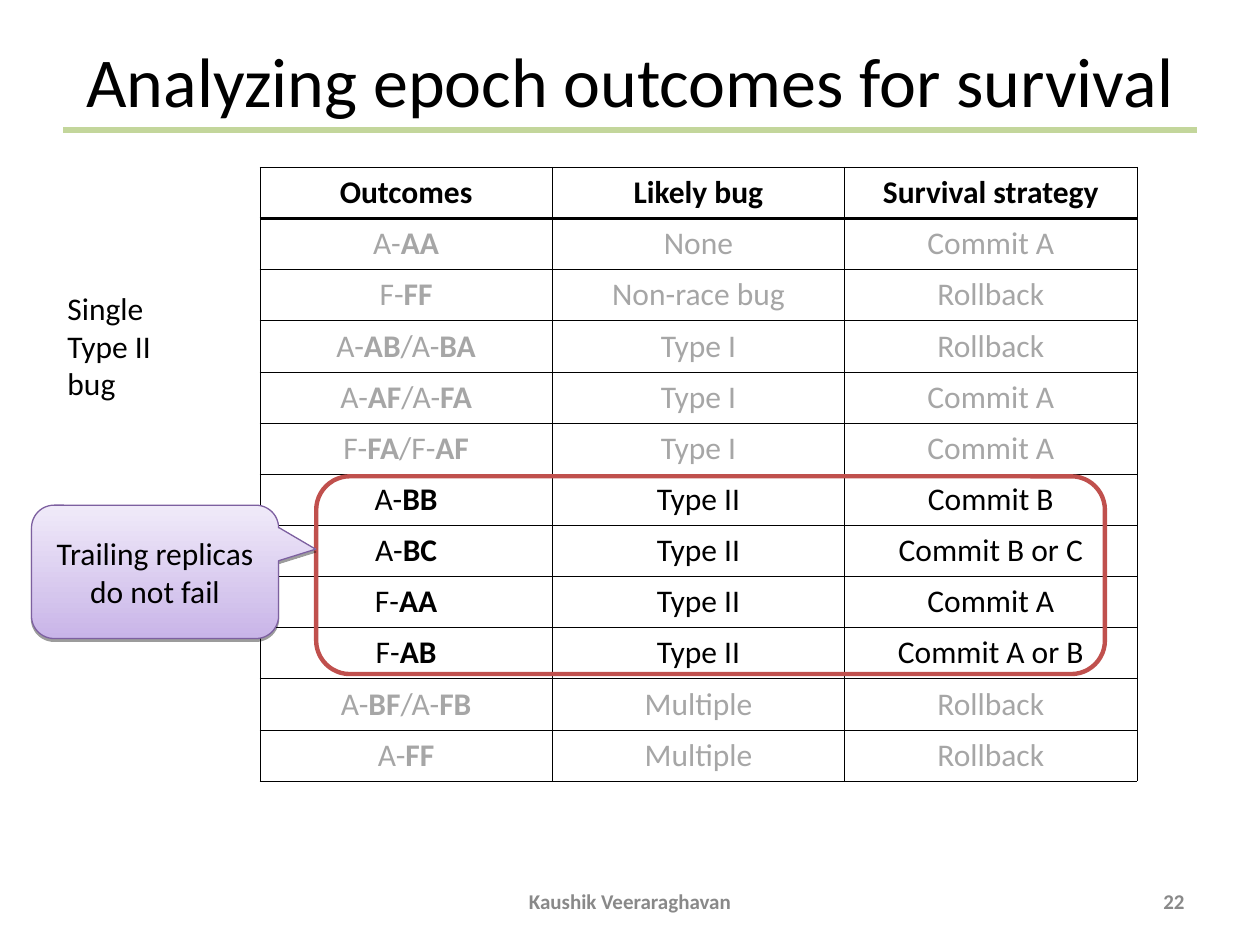
from lxml.etree import SubElement
from pptx import Presentation
from pptx.dml.color import RGBColor
from pptx.enum.shapes import MSO_CONNECTOR, MSO_SHAPE
from pptx.enum.text import MSO_ANCHOR, MSO_AUTO_SIZE, PP_ALIGN
from pptx.oxml.ns import qn
from pptx.util import Pt

COLORS = {
    "ink": "000000",
    "faded": "A6A6A6",
    "footer": "898989",
    "rule": "C3D69B",
    "focus": "C0504D",
    "edge": "7D60A0",
    "deep": "C9B5E8",
    "pale": "F0EAF9",
}
HEAD = ["Outcomes", "Likely bug", "Survival strategy"]
# Asterisks enclose bold text
ROWS = [
    ["A-*AA*", "None", "Commit A"],
    ["F-*FF*", "Non-race bug", "Rollback"],
    ["A-*AB*/A-*BA*", "Type I", "Rollback"],
    ["A-*AF*/A-*FA*", "Type I", "Commit A"],
    ["F-*FA*/F-*AF*", "Type I", "Commit A"],
    ["A-*BB*", "Type II", "Commit B"],
    ["A-*BC*", "Type II", "Commit B or C"],
    ["F-*AA*", "Type II", "Commit A"],
    ["F-*AB*", "Type II", "Commit A or B"],
    ["A-*BF*/A-*FB*", "Multiple", "Rollback"],
    ["A-*FF*", "Multiple", "Rollback"],
]


def paint(name):
    return RGBColor.from_string(COLORS[name])


def write(frame, text, size=18, color="ink", align=PP_ALIGN.LEFT,
          anchor=MSO_ANCHOR.TOP, font="Calibri"):
    """Fill a text frame: one paragraph a line, bold between asterisks."""
    frame.word_wrap = True
    frame.vertical_anchor = anchor
    for row, line in enumerate(text.split("\n")):
        para = frame.add_paragraph() if row else frame.paragraphs[0]
        para.alignment = align
        for part, words in enumerate(line.split("*")):
            if not words:
                continue
            run = para.add_run()
            run.text = words
            run.font.name = font
            run.font.size = Pt(size)
            run.font.bold = part % 2 == 1
            run.font.color.rgb = paint(color)


class Deck:
    def __init__(self, wide, high):
        self.show = Presentation()
        self.show.slide_width, self.show.slide_height = Pt(wide), Pt(high)
        self.slide = self.show.slides.add_slide(self.show.slide_layouts[5])
        self.shapes = self.slide.shapes

    def title(self, text, left, top, wide, high):
        box = self.shapes.title
        box.left, box.top, box.width, box.height = map(Pt, (left, top, wide, high))
        write(box.text_frame, text, size=40, align=PP_ALIGN.CENTER,
              anchor=MSO_ANCHOR.MIDDLE)

    def rule(self, left, right, top, color, weight):
        line = self.shapes.add_connector(
            MSO_CONNECTOR.STRAIGHT, Pt(left), Pt(top), Pt(right), Pt(top))
        line.line.color.rgb = paint(color)
        line.line.width = Pt(weight)
        SubElement(line._element.spPr, qn("a:effectLst"))

    def text(self, text, left, top, wide, high, grow=False, **style):
        box = self.shapes.add_textbox(Pt(left), Pt(top), Pt(wide), Pt(high))
        write(box.text_frame, text, **style)
        if grow:
            box.text_frame.auto_size = MSO_AUTO_SIZE.SHAPE_TO_FIT_TEXT

    def shape(self, kind, left, top, wide, high, color, weight, adjust):
        item = self.shapes.add_shape(kind, Pt(left), Pt(top), Pt(wide), Pt(high))
        for spot, value in enumerate(adjust):
            item.adjustments[spot] = value
        item.fill.background()
        item.line.color.rgb = paint(color)
        item.line.width = Pt(weight)
        item.shadow.inherit = False
        return item

    def callout(self, text, left, top, wide, high):
        item = self.shape(MSO_SHAPE.ROUNDED_RECTANGULAR_CALLOUT, left, top,
                          wide, high, "edge", 0.75, (0.65, -0.17, 0.17))
        item.fill.gradient()
        item.fill.gradient_angle = 90
        for stop, name, place in zip(item.fill.gradient_stops,
                                     ("deep", "pale"), (0, 1)):
            stop.color.rgb = paint(name)
            stop.position = place
        # Soft drop shadow straight below
        effect = item._element.spPr.find(qn("a:effectLst"))
        shade = SubElement(effect, qn("a:outerShdw"), blurRad="0",
                           dist=str(Pt(1.6)), dir="5400000", rotWithShape="0")
        tint = SubElement(shade, qn("a:srgbClr"), val=COLORS["ink"])
        SubElement(tint, qn("a:alpha"), val="38000")
        write(item.text_frame, text, align=PP_ALIGN.CENTER,
              anchor=MSO_ANCHOR.MIDDLE)

    def border(self, cell, side, weight):
        line = SubElement(cell._tc.get_or_add_tcPr(), qn("a:ln" + side),
                          w=str(Pt(weight)))
        fill = SubElement(line, qn("a:solidFill"))
        SubElement(fill, qn("a:srgbClr"), val=COLORS["ink"])

    def table(self, head, rows, focus, left, top, wide, high):
        lines = [[f"*{name}*" for name in head]] + rows
        grid = self.shapes.add_table(len(lines), len(head), Pt(left), Pt(top),
                                     Pt(wide), Pt(high)).table
        grid.horz_banding = False
        for column in grid.columns:
            column.width = Pt(wide / len(head))
        for y, line in enumerate(lines):
            grid.rows[y].height = Pt(high / len(lines))
            for x, text in enumerate(line):
                cell = grid.cell(y, x)
                thick = {0: "B", 1: "T"}.get(y)
                for side in "LRTB":
                    self.border(cell, side, 1.47 if side == thick else 0.45)
                cell.fill.background()
                write(cell.text_frame, text, align=PP_ALIGN.CENTER,
                      color="ink" if y in focus else "faded")


def main():
    deck = Deck(720, 540)

    # Heading
    deck.title("Analyzing epoch outcomes for survival", 36, 21.6, 648, 47.5)
    deck.rule(36, 684, 74.2, "rule", 3.5)

    # Outcome table, with the Type II rows in focus
    deck.table(HEAD, ROWS, (0, 6, 7, 8, 9), 148.5, 95.6, 501.3, 350.8)
    deck.shape(MSO_SHAPE.ROUNDED_RECTANGLE, 180.7, 272.2, 450.7, 113,
               "focus", 2.5, [0.17])

    # Footer
    foot = dict(size=12, color="footer", anchor=MSO_ANCHOR.MIDDLE)
    deck.text("*Kaushik Veeraraghavan*", 246, 500.5, 228, 28.8,
              align=PP_ALIGN.CENTER, **foot)
    deck.text("*22*", 516, 500.5, 168, 28.8, align=PP_ALIGN.RIGHT, **foot)

    # Side notes
    deck.callout("Trailing replicas do not fail", 18, 288.7, 141.2, 76.2)
    deck.text("Single\nType II bug", 31.5, 161.5, 83.5, 93.6, grow=True)

    deck.show.save("out.pptx")


if __name__ == "__main__":
    main()
